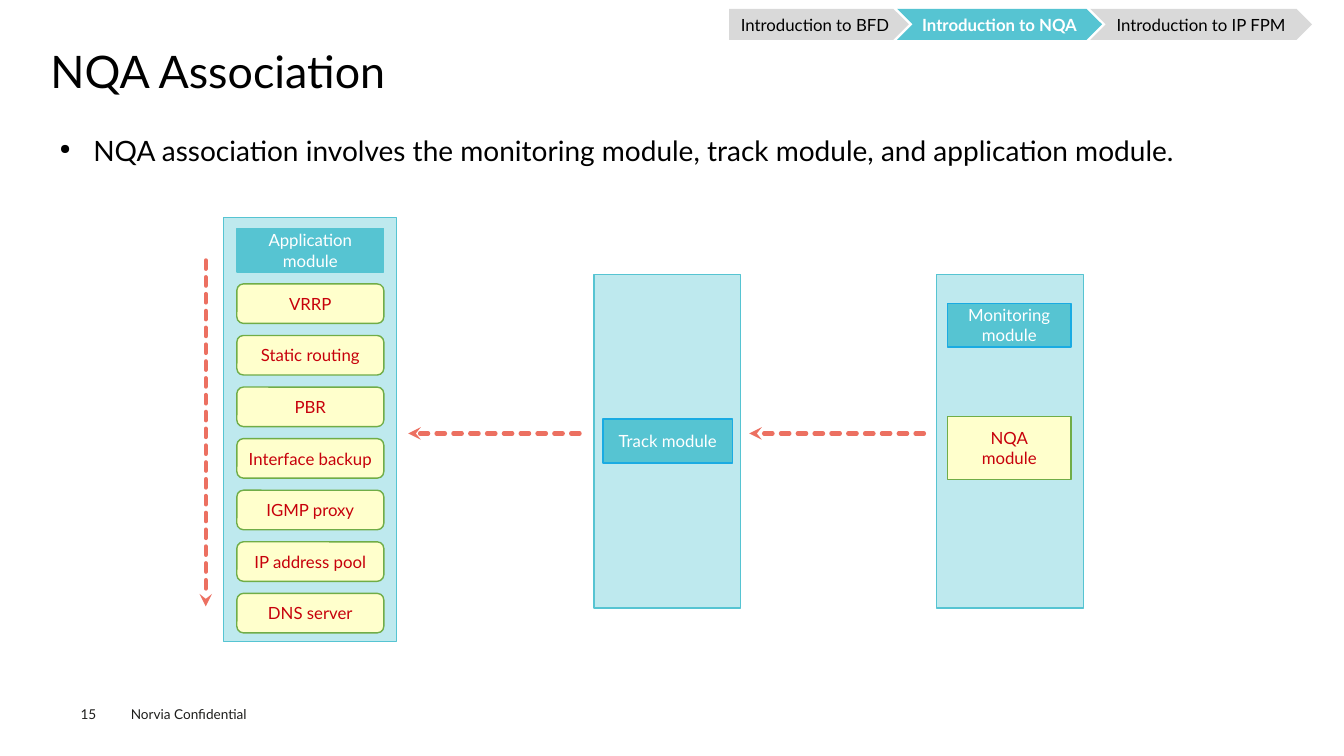
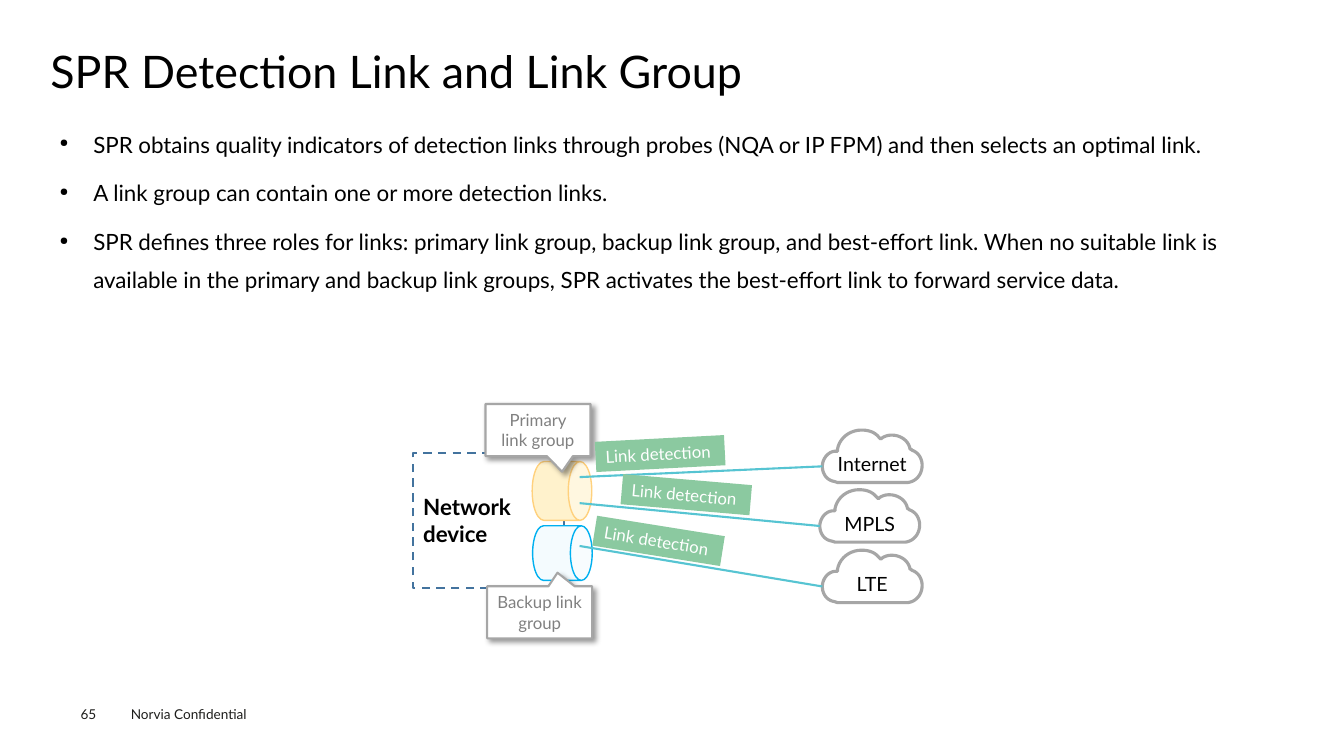
import lxml.etree
import pptx
import pptx.dml.color
import pptx.enum.dml
import pptx.enum.shapes
import pptx.enum.text
import pptx.oxml.ns
import pptx.util

SHAPE = pptx.enum.shapes.MSO_SHAPE
ALIGN = pptx.enum.text.PP_ALIGN
ANCHOR = pptx.enum.text.MSO_ANCHOR
DASH = pptx.enum.dml.MSO_LINE

COLUMNS, ROWS = 160, 90  # square cells, twelve to the inch
FONT = "Lato"
BLACK, WHITE, INK = "000000", "FFFFFF", "1D1D1B"
TEAL, PALE_TEAL, BLUE = "56C4D2", "BEE9EE", "1AABE2"
CREAM, GREEN, RED, CORAL = "FFFFCC", "70AD47", "C7000B", "EC7061"
GREY, TAB_GREY, TEXT_GREY, MINT = "A6A6A6", "D9D9D9", "808080", "8BC9A0"
NO_PAD, PAD = (0, 0, 0, 0), (1.2, 0.6, 1.2, 0.6)

# Cloud outline on a 99 by 52 field: one point is a line, three are a curve.
CLOUD_START = (39, 0)
CLOUD_CELL = 0.12
CLOUD_STEPS = [
    [(46, 0), (52, 2), (56, 7)], [(58, 9)], [(59, 8)],
    [(62, 6), (65, 5), (69, 5)], [(78, 5), (86, 11), (87, 19)],
    [(88, 19)], [(89, 20)],
    [(95, 22), (99, 28), (99, 35)], [(99, 44), (93, 51), (85, 52)],
    [(15, 52)], [(12, 51)],
    [(5, 50), (0, 44), (0, 36)], [(0, 29), (5, 22), (12, 21)],
    [(15, 21)], [(15, 19)], [(17, 8), (27, 0), (39, 0)],
]


def grid(cells):
    return pptx.util.Emu(round(cells * 76200))


def rgb(color):
    return pptx.dml.color.RGBColor.from_string(color)


def xml_child(parent, tag, **attributes):
    return lxml.etree.SubElement(parent, pptx.oxml.ns.qn(tag), attributes)


def write(box, lines, size, color, bold=False, align=ALIGN.CENTER,
          pad=PAD, anchor=ANCHOR.MIDDLE, wrap=True):
    """Put one paragraph per line into a box and return its paragraphs."""
    frame = box.text_frame
    frame.word_wrap = wrap
    frame.vertical_anchor = anchor
    frame.margin_left, frame.margin_top, frame.margin_right, frame.margin_bottom = map(grid, pad)
    for number, line in enumerate(lines):
        para = frame.add_paragraph() if number else frame.paragraphs[0]
        para.alignment = align
        span = para.add_run()
        span.text = line
        span.font.name, span.font.size, span.font.bold = FONT, pptx.util.Pt(size), bold
        span.font.color.rgb = rgb(color)
    return frame.paragraphs


def paint(shape, fill=None, line=None, width=1.0):
    shape.shadow.inherit = False
    if fill:
        shape.fill.solid()
        shape.fill.fore_color.rgb = rgb(fill)
    else:
        shape.fill.background()
    if line:
        shape.line.color.rgb = rgb(line)
        shape.line.width = pptx.util.Pt(width)
    else:
        shape.line.fill.background()


def add_box(page, kind, place, fill=None, line=None, width=1.0):
    box = page.shapes.add_shape(kind, *map(grid, place))
    paint(box, fill, line, width)
    return box


def add_text(page, place, lines, size, color=BLACK, pad=NO_PAD):
    box = page.shapes.add_textbox(*map(grid, place))
    return write(box, lines, size, color, align=ALIGN.LEFT, pad=pad, anchor=ANCHOR.TOP)


def add_line(page, start, end, color, width):
    line = page.shapes.add_connector(
        pptx.enum.shapes.MSO_CONNECTOR.STRAIGHT, *map(grid, start + end))
    line.line.color.rgb = rgb(color)
    line.line.width = pptx.util.Pt(width)
    xml_child(line.element.spPr, "a:effectLst")
    return line


def add_dashed_arrow(page, start, end):
    arrow = add_line(page, start, end, CORAL, 3)
    arrow.line.dash_style = DASH.SQUARE_DOT
    stroke = arrow.element.spPr.find(pptx.oxml.ns.qn("a:ln"))
    stroke.set("cap", "rnd")
    xml_child(stroke, "a:tailEnd", type="stealth")


def add_page(deck, number, title, bullets, size):
    """Add a page with the shared footer, title and bullet list."""
    page = deck.slides.add_slide(deck.slide_layouts[6])
    add_text(page, (14.4, 83.4, 19.2, 3.2), ["Norvia Confidential"], 9.7, INK, PAD)
    add_text(page, (9.6, 84, 6.6, 1.9), [str(number)], 9.7, INK)
    add_text(page, (6, 5.9, 148.2, 6.5), [title], 32)[0].line_spacing = 0.9
    body = add_text(page, (6, 13.8, 148.2, 64), bullets, size, pad=(1.1, 0.5, 1.1, 0.5))
    for para in body:
        para.line_spacing = 1.4
        para.space_before = pptx.util.Pt(7.9)
        settings = para._p.get_or_add_pPr()
        settings.set("marL", str(grid(4)))
        settings.set("indent", str(grid(-4)))
        xml_child(settings, "a:buSzPct", val="50000")
        xml_child(settings, "a:buChar", char="●")
    return page


def add_tabs(page, tabs, active):
    """Draw the chapter arrows, each overlapping the one before."""
    left, overlap = 86.8, 1.4
    for number, (label, width) in enumerate(tabs):
        chosen = number == active
        kind = SHAPE.CHEVRON if number else SHAPE.PENTAGON
        tab = add_box(page, kind, (left, 1.05, width, 3.7), TEAL if chosen else TAB_GREY)
        write(tab, [label], 12, WHITE if chosen else BLACK, bold=chosen, pad=NO_PAD)
        left += width - overlap


def add_panel(page, place):
    add_box(page, SHAPE.RECTANGLE, place, PALE_TEAL, TEAL)


def add_heading(page, place, label, line=BLUE, pad=NO_PAD):
    box = add_box(page, SHAPE.RECTANGLE, place, TEAL, line)
    write(box, [label], 12, WHITE, pad=pad)


def add_item(page, kind, place, lines, pad=PAD):
    box = add_box(page, kind, place, CREAM, GREEN)
    write(box, lines, 12, RED, pad=pad)


def curve_points(start, first, second, end, steps=10):
    for step in range(1, steps + 1):
        t = step / steps
        weights = ((1 - t) ** 3, 3 * t * (1 - t) ** 2, 3 * t * t * (1 - t), t ** 3)
        yield tuple(sum(w * p[axis] for w, p in zip(weights, (start, first, second, end)))
                    for axis in (0, 1))


def add_cloud(page, left, top, label):
    outline = [CLOUD_START]
    for step in CLOUD_STEPS:
        outline.extend(curve_points(outline[-1], *step) if len(step) == 3 else step)
    points = [(grid(left + x * CLOUD_CELL), grid(top + y * CLOUD_CELL)) for x, y in outline]
    builder = page.shapes.build_freeform(*points[0])
    builder.add_line_segments(points[1:], close=True)
    cloud = builder.convert_to_shape()
    paint(cloud, WHITE, GREY, 2.25)
    write(cloud, [label], 14, BLACK, pad=(1.2, 2.4, 1.2, 0.6))


def add_can(page, place, fill, line):
    can = add_box(page, SHAPE.CAN, place, fill, line)
    can.adjustments[0] = 0.4
    can.rotation = 90


def add_callout(page, place, label, tip):
    callout = add_box(page, SHAPE.RECTANGULAR_CALLOUT, place, WHITE, GREY, 1.5)
    callout.adjustments[0], callout.adjustments[1] = tip
    effects = callout.element.spPr.find(pptx.oxml.ns.qn("a:effectLst"))
    shadow = xml_child(effects, "a:outerShdw", blurRad=str(pptx.util.Pt(4)),
                       dist=str(pptx.util.Pt(3)), dir=str(45 * 60000), algn="tl", rotWithShape="0")
    xml_child(xml_child(shadow, "a:srgbClr", val=BLACK), "a:alpha", val="40000")
    write(callout, [label], 12, TEXT_GREY)


def add_link_label(page, left, top, angle):
    label = add_box(page, SHAPE.RECTANGLE, (left, top, 15.4, 3.6), MINT)
    label.rotation = angle
    write(label, ["Link detection"], 12, WHITE, align=ALIGN.LEFT, wrap=False)


def build_association(deck):
    page = add_page(deck, 15, "NQA Association", [
        "NQA association involves the monitoring module, track module, and application module.",
    ], 20)
    for start, end in (((110, 51.6), (89.2, 51.6)), ((69, 51.6), (48.6, 51.6)),
                       ((24.5, 31), (24.5, 72.2))):
        add_dashed_arrow(page, start, end)

    add_panel(page, (111.5, 32.7, 17.5, 39.7))
    add_heading(page, (112.8, 36.1, 14.7, 5.2), "Monitoring module")
    add_item(page, SHAPE.RECTANGLE, (112.8, 49.6, 14.7, 7.5), ["NQA", "module"])

    add_panel(page, (70.7, 32.7, 17.5, 39.7))
    add_heading(page, (71.8, 49.9, 15.4, 5.2), "Track module")

    add_panel(page, (26.6, 25.9, 20.6, 50.5))
    add_heading(page, (28.2, 27.2, 17.5, 5.2), "Application module", TEAL, (0.5, 0, 0.5, 0))
    applications = ("VRRP", "Static routing", "PBR", "Interface backup",
                    "IGMP proxy", "IP address pool", "DNS server")
    for row, name in enumerate(applications):
        add_item(page, SHAPE.ROUNDED_RECTANGLE, (28.2, 33.8 + row * 6.14, 17.5, 4.7),
                 [name], (0.5, 0.6, 0.5, 0.6))

    add_tabs(page, [("Introduction to BFD", 21.4), ("Introduction to NQA", 24.4),
                    ("Introduction to IP FPM", 26.4)], active=1)


def build_link_group(deck):
    page = add_page(deck, 65, "SPR Detection Link and Link Group", [
        "SPR obtains quality indicators of detection links through probes (NQA or IP FPM) "
        "and then selects an optimal link.",
        "A link group can contain one or more detection links.",
        "SPR defines three roles for links: primary link group, backup link group, and "
        "best-effort link. When no suitable link is available in the primary and backup "
        "link groups, SPR activates the best-effort link to forward service data.",
    ], 16)
    device = add_box(page, SHAPE.RECTANGLE, (49.2, 53.9, 18, 16.1), line="43739E", width=1.5)
    device.line.dash_style = DASH.DASH
    write(device, ["Network device"], 16, BLACK, bold=True, align=ALIGN.LEFT)

    add_can(page, (63.4, 54.9, 7, 7.1), "FFF2CC", "FFD17D")
    add_can(page, (63.7, 62.3, 6.5, 7.1), "F4FBFE", "00B0F0")
    links = (("Internet", 97.9, 51.2, 56.8), ("MPLS", 97.6, 58.3, 59.9), ("LTE", 97.9, 65.5, 65))
    for name, left, top, source in links:
        add_cloud(page, left, top, name)
        add_line(page, (69, source), (left, top + 36 * CLOUD_CELL), TEAL, 1.5)

    add_callout(page, (57.8, 48.1, 12.5, 6.2), "Primary link group", (0.23, 0.8))
    add_callout(page, (58, 69.8, 12.5, 6.2), "Backup link group", (0.17, -0.76))
    for left, top, angle in ((70.9, 52.2, -3), (74, 57.1, 4.9), (70.7, 62.6, 9.1)):
        add_link_label(page, left, top, angle)


def main():
    deck = pptx.Presentation()
    deck.slide_width, deck.slide_height = grid(COLUMNS), grid(ROWS)
    build_association(deck)
    build_link_group(deck)
    deck.save("out.pptx")


if __name__ == "__main__":
    main()
